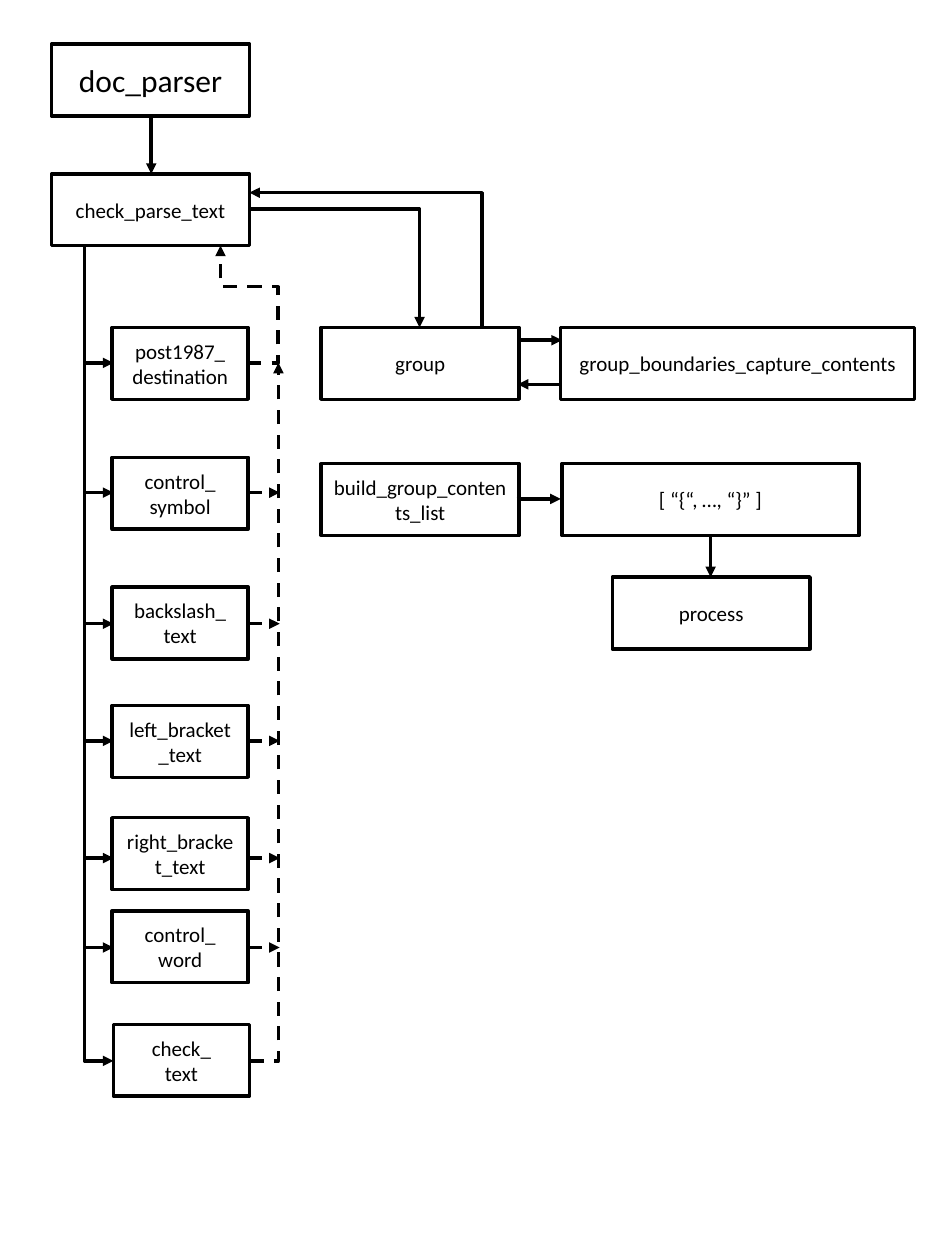
from lxml import etree
from pptx import Presentation
from pptx.dml.color import RGBColor
from pptx.enum import dml, shapes, text
from pptx.oxml import ns
from pptx.util import Inches, Pt

BLACK = RGBColor.from_string("000000")
BOX_HEIGHT = 0.57

deck = Presentation()
deck.slide_width, deck.slide_height = Inches(7.5), Inches(10)
page = deck.slides.add_slide(deck.slide_layouts[6])


def add_box(label, left, top, width=1.57, size=12):
    """Add an outlined box with centred text, one paragraph per line."""
    box = page.shapes.add_shape(shapes.MSO_SHAPE.RECTANGLE, Inches(left), Inches(top),
                                Inches(width), Inches(BOX_HEIGHT))
    box.shadow.inherit = False
    box.fill.background()
    box.line.color.rgb = BLACK
    box.line.width = Pt(2)
    frame = box.text_frame
    frame.word_wrap = True
    frame.vertical_anchor = text.MSO_ANCHOR.MIDDLE
    frame.text = label
    for para in frame.paragraphs:
        para.alignment = text.PP_ALIGN.CENTER
        para.font.name = "Calibri"
        para.font.size = Pt(size)
        para.font.color.rgb = BLACK


def add_arrow(x1, y1, x2, y2, bend=None, adjust=(), dashed=False, down_first=False):
    """Add an arrow; bend names an elbow preset, down_first turns it to start downwards."""
    if down_first:
        middle_x, middle_y = (x1 + x2) / 2, (y1 + y2) / 2
        half_x, half_y = (y2 - y1) / 2, (x2 - x1) / 2
        x1, x2 = middle_x + half_x, middle_x - half_x
        y1, y2 = middle_y - half_y, middle_y + half_y
    kind = shapes.MSO_CONNECTOR.ELBOW if bend else shapes.MSO_CONNECTOR.STRAIGHT
    arrow = page.shapes.add_connector(kind, Inches(x1), Inches(y1), Inches(x2), Inches(y2))
    arrow.line.color.rgb = BLACK
    arrow.line.width = Pt(2)
    if dashed:
        arrow.line.dash_style = dml.MSO_LINE.DASH
    properties = arrow._element.spPr
    if down_first:
        properties.find(ns.qn("a:xfrm")).set("rot", str(270 * 60000))
    if bend:
        geometry = properties.find(ns.qn("a:prstGeom"))
        geometry.set("prst", bend)
        for number, share in enumerate(adjust, 1):
            etree.SubElement(geometry.find(ns.qn("a:avLst")), ns.qn("a:gd"),
                             name=f"adj{number}", fmla=f"val {round(share * 100000)}")
    etree.SubElement(properties.find(ns.qn("a:ln")), ns.qn("a:tailEnd"), type="triangle")
    etree.SubElement(properties, ns.qn("a:effectLst"))


# Main flow
add_box("doc_parser", 0.41, 0.35, size=18)
add_box("check_parse_text", 0.41, 1.38)
add_box("group", 2.55, 2.6)
add_box("group_boundaries_capture_contents", 4.45, 2.6, width=2.81)
add_box("build_group_contents_list", 2.55, 3.68)
add_box("[ “{“, …, “}” ]", 4.46, 3.68, width=2.36)
add_box("process", 4.86, 4.58)

for ends in [
    (1.2, 0.91, 1.2, 1.38),
    (4.11, 2.7, 4.46, 2.7),
    (4.45, 3.05, 4.11, 3.05),
    (4.1, 3.96, 4.45, 3.96),
    (5.64, 4.24, 5.64, 4.58),
]:
    add_arrow(*ends)
add_arrow(1.98, 1.66, 3.33, 2.6, bend="bentConnector2")
add_arrow(3.82, 2.6, 1.98, 1.53, bend="bentConnector3", adjust=[-0.004])

# Handlers between the outgoing trunk and the dashed return trunk
trunk, back = 0.67, 2.21
handlers = [
    ("post1987_\ndestination", 2.6, 2.88),
    ("control_\nsymbol", 3.63, 3.91),
    ("backslash_\ntext", 4.66, 4.95),
    ("left_bracket_text", 5.6, 5.88),
    ("right_bracket_text", 6.49, 6.81),
    ("control_\nword", 7.23, 7.52),
]
for row, (label, top, middle) in enumerate(handlers):
    add_box(label, 0.89, top, width=1.08)
    add_arrow(trunk, middle, 0.9, middle)
    if row > 0:
        add_arrow(1.97, middle, back + 0.01, middle, dashed=True)
add_box("check_\ntext", 0.9, 8.13, width=1.08)

add_arrow(trunk, 1.95, 0.9, 8.42, bend="bentConnector2", down_first=True)
add_arrow(1.98, 8.42, back, 2.88, bend="bentConnector2", dashed=True)
add_arrow(1.96, 2.88, 1.75, 1.95, bend="bentConnector4", adjust=[-1.17, 0.65], dashed=True)

deck.save("out.pptx")
